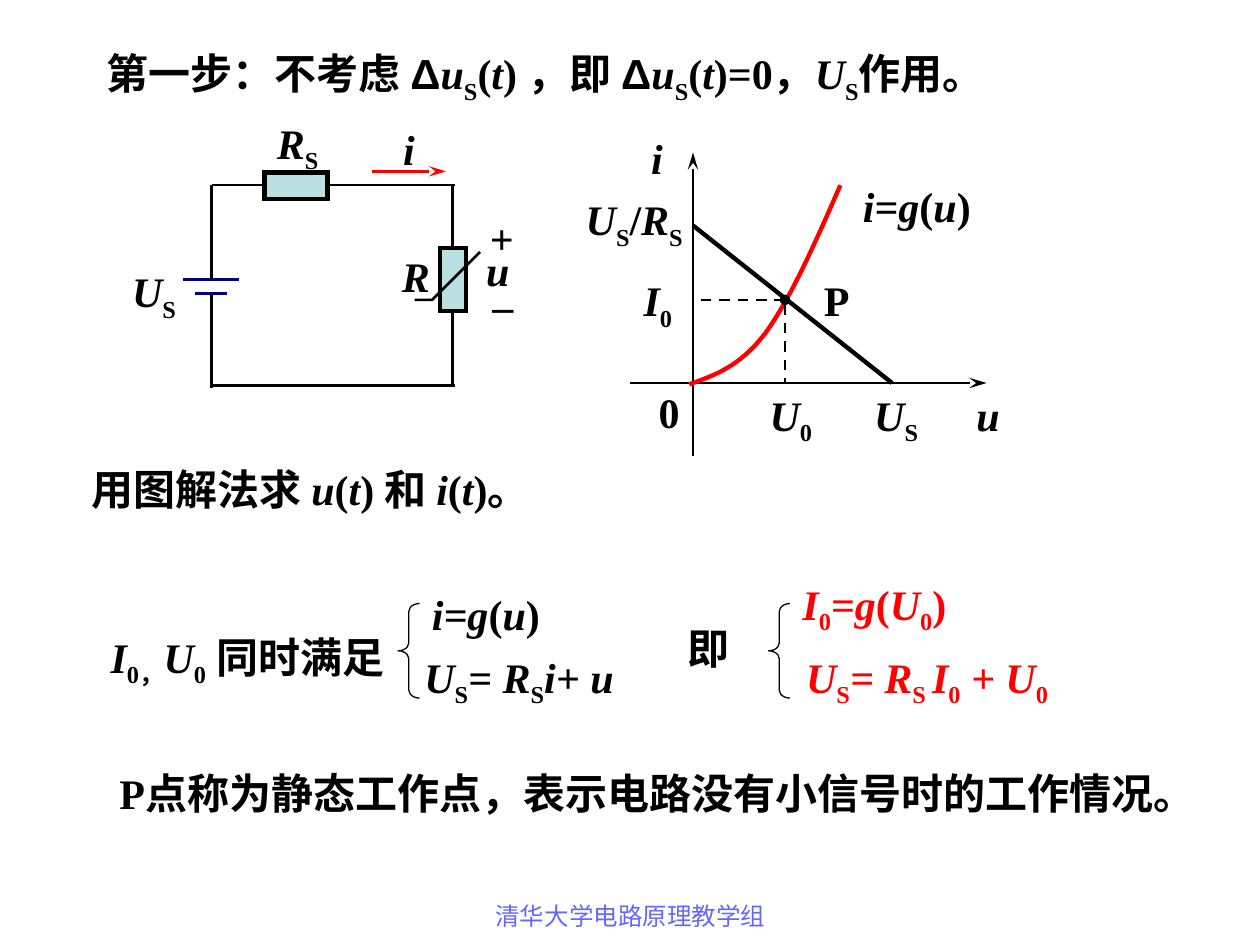
from lxml import etree
from pptx import Presentation
from pptx import util as u
from pptx.dml.color import RGBColor
from pptx.enum import dml, shapes, text
from pptx.oxml.ns import qn

COLORS = {"ink": "000000", "red": "FF0000", "navy": "000080",
          "resistor": "BBE0E3", "footer": "6666FF"}
BODY = {"name": "Times New Roman", "size": u.Pt(24), "bold": True}
FOOTER = {"name": "Arial", "size": u.Pt(14), "bold": False}
SYMBOL_FONT = "Arial"
MARKS = {"~": "italic", "|": "subscript", "^": "symbol"}

PARAGRAPHS = [
    ("第一步：不考虑 ^Δ^~u~|S|(~t~) ，即 ^Δ^~u~|S|(~t~)=0，~U~|S|作用。", 0.75, 0.33, 7.23, 0.96),
    ("P点称为静态工作点，表示电路没有小信号时的工作情况。", 0.85, 6.04, 8.94, 0.9),
    ("用图解法求 ~u~(~t~) 和 ~i~(~t~)。", 0.63, 3.63, 4.1, 0.9),
]
EQUATIONS = [
    ("~I~|0，|~U~|0| 同时满足", 0.78, 4.96, 2.7, "ink"),
    ("~i=g~(~u~)", 3.33, 4.62, 1.24, "ink"),
    ("~U~|S|~= R~|S|~i+ u~", 3.27, 5.12, 1.9, "ink"),
    ("即", 5.36, 4.89, 0.68, "ink"),
    ("~I~|0|~=g~(~U~|0|)", 6.27, 4.54, 1.58, "red"),
    ("~U~|S|~= R~|S |~I~|0|~ + U~|0|", 6.3, 5.12, 2.4, "red"),
]
GRAPH_LABELS = [
    ("~i~", 5.07, 1, 0.29), ("~u~", 7.65, 3.04, 0.38),
    ("~i=g~(~u~)", 6.75, 1.38, 1.24), ("~I~|0|", 5.01, 2.13, 0.55),
    ("~U~|0|", 6.01, 3.04, 0.6), ("~U~|S|", 6.84, 3.04, 0.6),
    ("~U~|S|/~R~|S|", 4.55, 1.49, 1.05), ("P", 6.44, 2.13, 0.4),
    ("0", 5.13, 3.02, 0.36),
]
CIRCUIT_LABELS = [
    ("~R~|S|", 2.1, 0.88, 0.6), ("~R~", 3.09, 1.94, 0.42),
    ("~U~|S|", 0.95, 2.06, 0.6), ("+", 3.79, 1.64, 0.39),
    ("_", 3.81, 2.06, 0.36), ("~u~", 3.76, 1.89, 0.38),
    ("~i~", 3.1, 0.93, 0.29),
]


def rgb(color):
    return RGBColor.from_string(COLORS[color])


def add_run(paragraph, wording, active, color, style):
    run = paragraph.add_run()
    run.text = wording
    font = run.font
    for name, value in style.items():
        setattr(font, name, value)
    font.italic = "italic" in active
    font.color.rgb = rgb(color)
    if "symbol" in active:
        font.name = SYMBOL_FONT
    if "subscript" in active:
        font._element.set("baseline", "-25000")


def add_text(slide, wording, left, top, width, height=0.5, color="ink",
             wrap=False, style=BODY, align=text.PP_ALIGN.LEFT):
    shape = slide.shapes.add_textbox(*map(u.Inches, (left, top, width, height)))
    shape.text_frame.word_wrap = wrap
    paragraph = shape.text_frame.paragraphs[0]
    paragraph.alignment = align
    active, pending = set(), ""
    for character in wording:
        if character in MARKS:
            if pending:
                add_run(paragraph, pending, active, color, style)
            active ^= {MARKS[character]}
            pending = ""
        else:
            pending += character
    if pending:
        add_run(paragraph, pending, active, color, style)


def add_line(slide, start, end, color="ink", width=1.5, dashed=False, head=None, tail=None):
    line = slide.shapes.add_connector(
        shapes.MSO_CONNECTOR.STRAIGHT, *map(u.Inches, (*start, *end)))
    line.line.color.rgb = rgb(color)
    line.line.width = u.Pt(width)
    if dashed:
        line.line.dash_style = dml.MSO_LINE.DASH
    properties = line._element.spPr
    outline = properties.find(qn("a:ln"))
    if head:
        etree.SubElement(outline, qn("a:headEnd"), type=head)
    if tail:
        etree.SubElement(outline, qn("a:tailEnd"), type=tail, len="lg")
    etree.SubElement(properties, qn("a:effectLst"))


def format_shape(shape, color="ink", width=1.5, fill=None):
    shape.shadow.inherit = False
    shape.line.color.rgb = rgb(color)
    shape.line.width = u.Pt(width)
    if fill:
        shape.fill.solid()
        shape.fill.fore_color.rgb = rgb(fill)
    else:
        shape.fill.background()


def add_resistor(slide, left, top, width, height):
    shape = slide.shapes.add_shape(
        shapes.MSO_SHAPE.RECTANGLE, *map(u.Inches, (left, top, width, height)))
    format_shape(shape, width=2.5, fill="resistor")
    outline = shape._element.spPr.find(qn("a:ln"))
    etree.SubElement(outline, qn("a:miter"), lim="800000")


def add_brace(slide, left):
    shape = slide.shapes.add_shape(
        shapes.MSO_SHAPE.LEFT_BRACE, *map(u.Inches, (left, 4.79, 0.17, 0.75)))
    shape.adjustments[0] = 0.37
    format_shape(shape, width=0.75)


def add_path(slide, points, color="ink", width=1.5):
    points = [(u.Inches(x), u.Inches(y)) for x, y in points]
    builder = slide.shapes.build_freeform(*points[0])
    builder.add_line_segments(points[1:], close=False)
    format_shape(builder.convert_to_shape(), color, width)


def bezier(controls, steps=16):
    weights = (1, 3, 3, 1)
    for step in range(steps + 1):
        t = step / steps
        factors = [w * (1 - t) ** (3 - k) * t ** k for k, w in enumerate(weights)]
        yield tuple(sum(f * point[axis] for f, point in zip(factors, controls))
                    for axis in (0, 1))


def draw_graph(slide):
    axis_x, axis_y = 5.5, 3.04
    add_line(slide, (5, axis_y), (7.83, axis_y), tail="stealth")
    add_line(slide, (axis_x, 3.62), (axis_x, 1.21), tail="stealth")
    knee = (6.07, 2.65)
    lower = [(5.47, 3.05), (5.67, 2.98), (5.87, 2.91), knee]
    upper = [knee, (6.27, 2.38), (6.47, 1.93), (6.67, 1.47)]
    add_path(slide, [*bezier(lower), *list(bezier(upper))[1:]], "red", 2.5)
    point = (6.23, 2.38)
    add_line(slide, point, (axis_x, point[1]), dashed=True)
    add_line(slide, point, (point[0], axis_y), dashed=True, head="oval")
    add_line(slide, (axis_x, 1.79), (7.08, axis_y), width=2.5)
    for label in GRAPH_LABELS:
        add_text(slide, *label)


def draw_circuit(slide):
    left, right, top, bottom = 1.68, 3.59, 1.47, 3.06
    plate_top, plate_bottom = 2.22, 2.33
    add_line(slide, (1.45, plate_top), (1.9, plate_top), "navy", 2)
    add_line(slide, (1.55, plate_bottom), (1.8, plate_bottom), "navy", 2)
    for y in (bottom, top):
        add_line(slide, (left, y), (right + 0.02, y))
    add_line(slide, (right, top), (right, bottom))
    add_line(slide, (left, top), (left, plate_top))
    add_line(slide, (left, plate_bottom), (left, bottom + 0.02))
    add_resistor(slide, 3.49, 1.97, 0.21, 0.5)
    add_resistor(slide, 2.1, 1.37, 0.5, 0.21)
    for label in CIRCUIT_LABELS:
        add_text(slide, *label)
    add_line(slide, (2.95, 1.36), (3.54, 1.36), "red", tail="stealth")
    add_path(slide, [(3.29, 2.38), (3.43, 2.38), (3.81, 2)])


def main():
    presentation = Presentation()
    presentation.slide_width, presentation.slide_height = u.Inches(10), u.Inches(7.5)
    slide = presentation.slides.add_slide(presentation.slide_layouts[6])
    for paragraph in PARAGRAPHS:
        add_text(slide, *paragraph, wrap=True)
    for wording, left, top, width, color in EQUATIONS:
        add_text(slide, wording, left, top, width, color=color)
    for left in (3.16, 6.1):
        add_brace(slide, left)
    draw_graph(slide)
    draw_circuit(slide)
    add_text(slide, "清华大学电路原理教学组", 3.42, 7.1, 3.17, 0.4, "footer",
             wrap=True, style=FOOTER, align=text.PP_ALIGN.CENTER)
    presentation.save("out.pptx")


if __name__ == "__main__":
    main()
